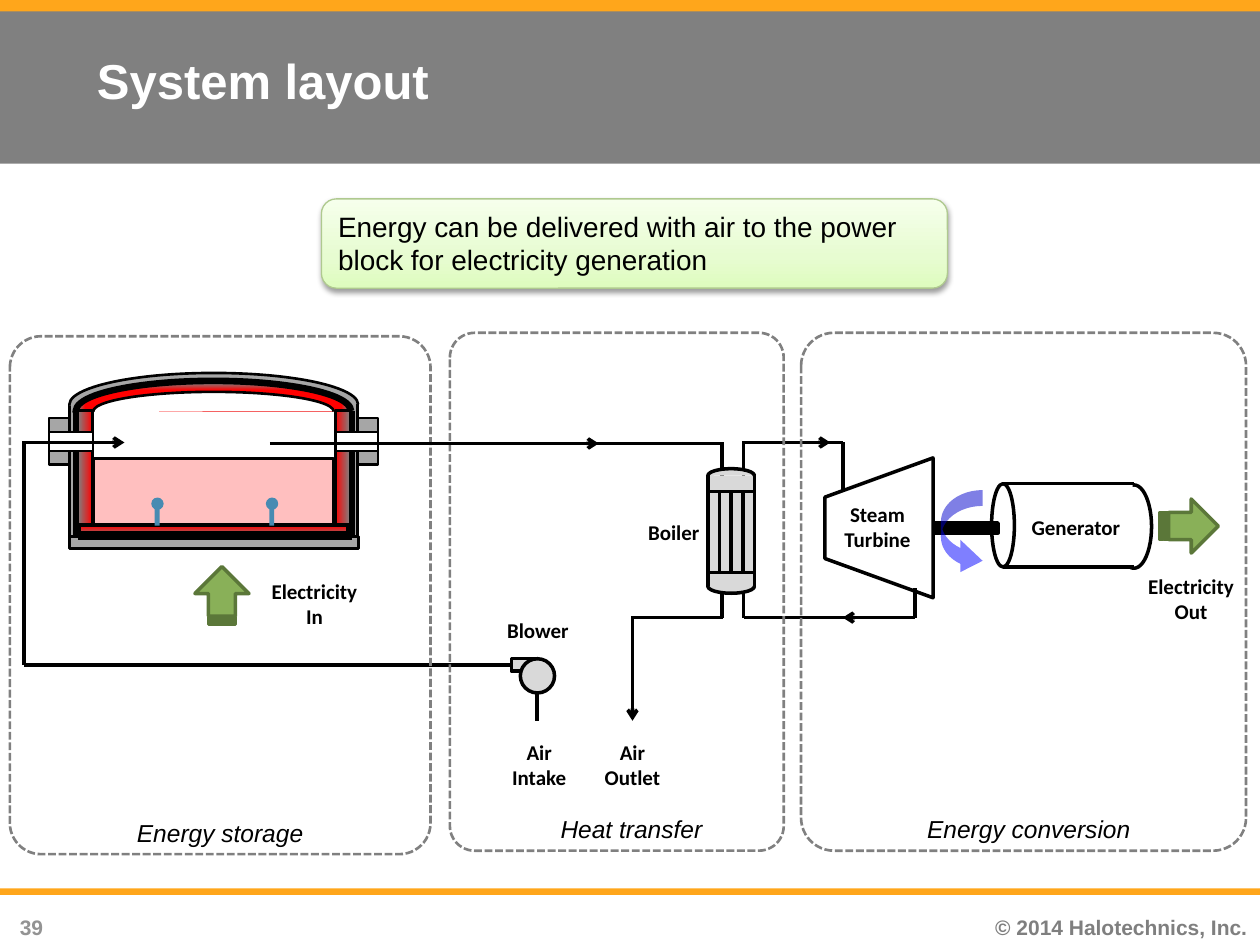
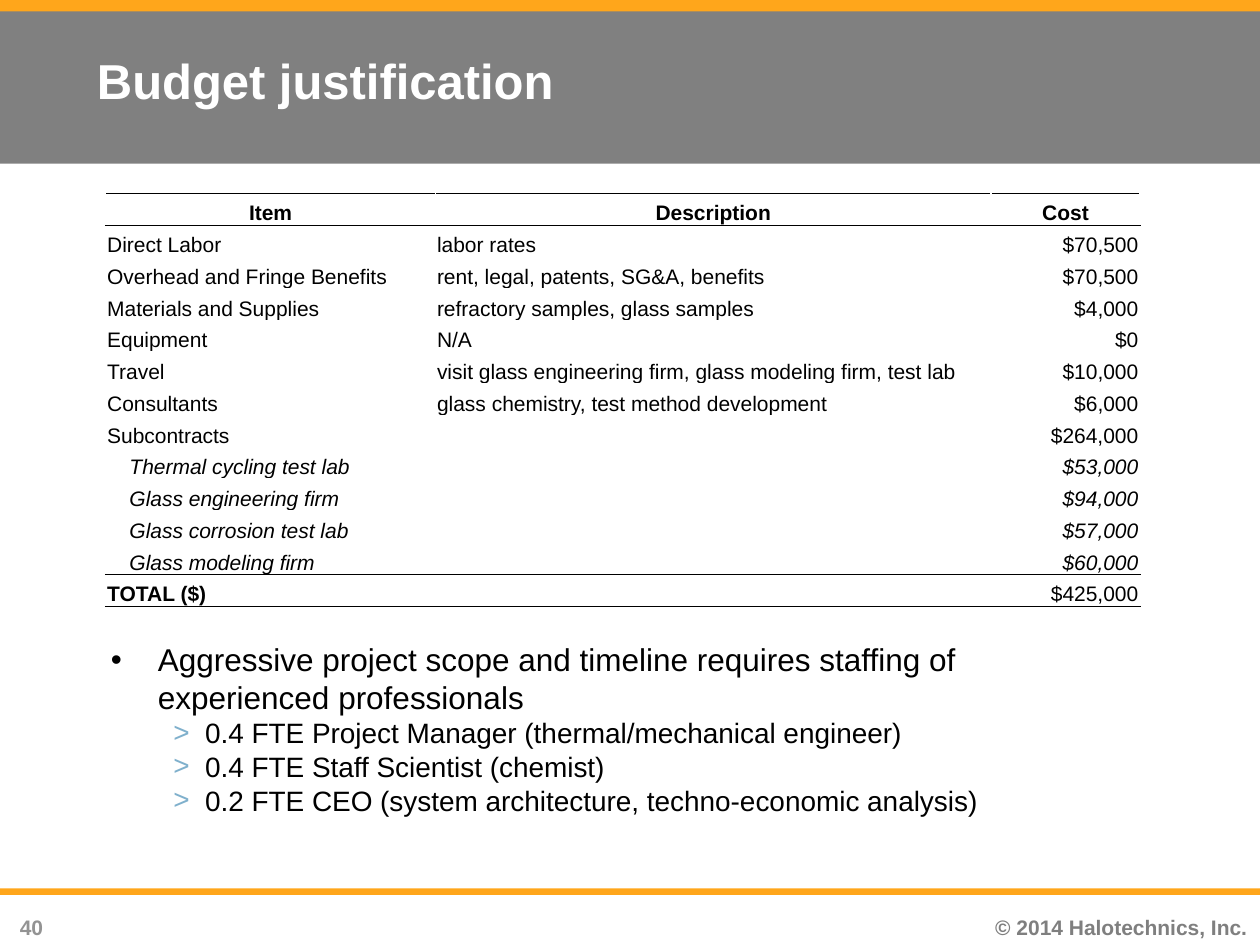
from lxml.etree import SubElement
from pptx import Presentation
from pptx.dml.color import RGBColor
from pptx.enum.dml import MSO_LINE
from pptx.enum.shapes import MSO_CONNECTOR, MSO_SHAPE
from pptx.enum.text import MSO_ANCHOR, PP_ALIGN
from pptx.oxml.ns import qn
from pptx.util import Cm, Pt

BLACK = RGBColor(0x00, 0x00, 0x00)
WHITE = RGBColor(0xFF, 0xFF, 0xFF)
GRAY = RGBColor(0x80, 0x80, 0x80)
STEEL = RGBColor(0xA6, 0xA6, 0xA6)
SILVER = RGBColor(0xD9, 0xD9, 0xD9)
NOTE = RGBColor(0x7F, 0x7F, 0x7F)
NUMBER = RGBColor(0x93, 0x93, 0x93)
ORANGE = RGBColor(0xFF, 0xA6, 0x1B)
RED = RGBColor(0xFF, 0x00, 0x00)
BLUE = RGBColor(0x00, 0x00, 0xFF)
TEAL = RGBColor(0x47, 0x8B, 0xB2)
SKY = RGBColor(0x7F, 0xB0, 0xCC)
GREEN = RGBColor(0x89, 0xB0, 0x58)
MOSS = RGBColor(0x5B, 0x77, 0x39)
SAGE = RGBColor(0xAF, 0xC9, 0x8F)
MINT = [(0, RGBColor(0xDE, 0xFC, 0xBE)), (35, RGBColor(0xE7, 0xFC, 0xD1)),
        (100, RGBColor(0xF6, 0xFF, 0xEC))]
HEAT = [(0, RED), (100, GRAY)]
DOME = [(74, RED), (100, GRAY)]

RECT, OVAL, ARC = MSO_SHAPE.RECTANGLE, MSO_SHAPE.OVAL, MSO_SHAPE.ARC
ROUND, STRIPE = MSO_SHAPE.ROUNDED_RECTANGLE, MSO_SHAPE.STRIPED_RIGHT_ARROW
LEFT, MID, RIGHT = PP_ALIGN.LEFT, PP_ALIGN.CENTER, PP_ALIGN.RIGHT
HALF = (107.8, 0)


def add(parent, tag, **attrs):
    return SubElement(parent, qn(tag), attrs)


class Deck:
    def __init__(self):
        self.prs = Presentation()
        self.prs.slide_width, self.prs.slide_height = Cm(25.4), Cm(19.05)
        self.slide = None

    def start(self, layout, title, number):
        """Add a slide with its bands, footer and title."""
        self.slide = self.prs.slides.add_slide(self.prs.slide_layouts[layout])
        self.shape(RECT, (0, 0, 25.4, 3.3), GRAY)
        self.shape(RECT, (0, 17.91, 25.4, 0.13), ORANGE)
        self.shape(RECT, (0, 0, 25.4, 0.23), ORANGE)
        self.label("© 2014 Halotechnics, Inc.", (19.08, 18.31, 6.32, 0.74),
                   align=RIGHT, color=NOTE, name="Arial")
        self.label(number, (0, 18.31, 1.12, 0.66), align=RIGHT,
                   color=NUMBER, name="Arial")
        head = self.slide.shapes.title
        self.slide.shapes._spTree.append(head._element)
        self.place(head, (1.7, -0.05, 22.86, 3.33))
        head.text_frame.text = title
        head.text_frame.vertical_anchor = MSO_ANCHOR.MIDDLE
        self.style(head.text_frame.paragraphs[0], 28, WHITE, bold=True)

    def place(self, item, box):
        item.left, item.top, item.width, item.height = map(Cm, box)

    def style(self, par, size, color=BLACK, bold=False, slant=False,
              name="Arial", align=LEFT):
        par.alignment = align
        font = par.font
        font.size, font.name, font.bold, font.italic = Pt(size), name, bold, slant
        font.color.rgb = color

    def shape(self, kind, box, fill=None, edge=None, width=2, turn=0,
              flip=None, adj=()):
        item = self.slide.shapes.add_shape(kind, *map(Cm, box))
        item.shadow.inherit = False
        item.rotation = turn
        for i, value in enumerate(adj):
            item.adjustments[i] = value
        if flip:
            item._element.spPr.find(qn("a:xfrm")).set(flip, "1")
        if fill is None:
            item.fill.background()
        else:
            item.fill.solid()
            item.fill.fore_color.rgb = fill
        if edge is None:
            item.line.fill.background()
        else:
            item.line.color.rgb = edge
            item.line.width = Pt(width)
        return item

    def fade(self, item, share):
        """Make a solid fill see-through; share is the opacity in percent."""
        color = item._element.spPr.find(qn("a:solidFill"))[0]
        add(color, "a:alpha", val=str(share * 1000))

    def blend(self, item, stops, angle=0, radial=False):
        item.fill.gradient()
        item.fill.gradient_angle = angle
        grad = item._element.spPr.find(qn("a:gradFill"))
        rows = grad.find(qn("a:gsLst"))
        rows.clear()
        for pos, color in stops:
            stop = add(rows, "a:gs", pos=str(pos * 1000))
            add(stop, "a:srgbClr", val=str(color))
        if radial:
            grad.remove(grad.find(qn("a:lin")))
            sides = dict.fromkeys("ltrb", "50000")
            add(add(grad, "a:path", path="shape"), "a:fillToRect", **sides)

    def line(self, x1, y1, x2, y2, width=2, arrow=False):
        item = self.slide.shapes.add_connector(
            MSO_CONNECTOR.STRAIGHT, Cm(x1), Cm(y1), Cm(x2), Cm(y2))
        item.line.color.rgb = BLACK
        item.line.width = Pt(width)
        if arrow:
            add(item.line._get_or_add_ln(), "a:tailEnd", type="arrow")
        add(item._element.spPr, "a:effectLst")

    def label(self, text, box, size=12, align=MID, color=BLACK, bold=True,
              slant=False, name="Calibri", wrap=True):
        frame = self.slide.shapes.add_textbox(*map(Cm, box)).text_frame
        frame.word_wrap = wrap
        frame.text = text
        self.style(frame.paragraphs[0], size, color, bold, slant, name, align)

    def callout(self, text, box):
        item = self.shape(ROUND, box, WHITE, SAGE, 0.75)
        self.blend(item, MINT, 90)
        glow = add(item._element.spPr.find(qn("a:effectLst")), "a:outerShdw",
                   blurRad="40000", dist="20000", dir="5400000", rotWithShape="0")
        add(add(glow, "a:srgbClr", val="000000"), "a:alpha", val="38000")
        item.text_frame.text = text
        item.text_frame.vertical_anchor = MSO_ANCHOR.TOP
        self.style(item.text_frame.paragraphs[0], 16)

    def zone(self, box, text, spot):
        """Draw a dashed frame with a caption at its foot."""
        item = self.shape(ROUND, box, None, GRAY, 1.5, adj=(0.074,))
        item.line.dash_style = MSO_LINE.SQUARE_DOT
        self.label(text, spot, 14, LEFT, bold=False, slant=True, name="Arial",
                   wrap=False)

    def bullets(self, rows, box):
        """Fill the body placeholder with (level, text) rows."""
        body = self.slide.placeholders[1]
        self.place(body, box)
        frame = body.text_frame
        looks = [("•", BLACK, 18, 0.95, 0.95), (">", SKY, 16, 1.9, 0.64)]
        for i, (level, text) in enumerate(rows):
            par = frame.add_paragraph() if i else frame.paragraphs[0]
            mark, color, size, left, hang = looks[level]
            par.text, par.level = text, level
            props = par._p.get_or_add_pPr()
            props.set("marL", str(Cm(left)))
            props.set("indent", str(-Cm(hang)))
            add(add(props, "a:buClr"), "a:srgbClr", val=str(color))
            add(props, "a:buFont", typeface="Arial")
            add(props, "a:buChar", char=mark)
            par.space_before = Pt(0)
            self.style(par, size)

    def table(self, rows, widths, spot, height):
        box = (*spot, sum(widths), height * len(rows))
        grid = self.slide.shapes.add_table(
            len(rows), len(widths), *map(Cm, box)).table
        grid.first_row = grid.horz_banding = False
        for col, width in zip(grid.columns, widths):
            col.width = Cm(width)
        last = len(rows) - 1
        for r, row in enumerate(rows):
            grid.rows[r].height = Cm(height)
            sub = 8 <= r < last
            for c, text in enumerate(row):
                cell = grid.cell(r, c)
                cell.fill.background()
                cell.vertical_anchor = MSO_ANCHOR.BOTTOM
                cell.margin_left = Cm(0.48 if sub and c == 0 else 0.03)
                cell.margin_right = cell.margin_top = Cm(0.03)
                cell.margin_bottom = 0
                cell.text = text
                par = cell.text_frame.paragraphs[0]
                align = MID if r == 0 else RIGHT if c == 2 else LEFT
                bold = r == 0 or (r == last and c == 0)
                self.style(par, 12, bold=bold, slant=sub, align=align)
                if not text:
                    add(par._p, "a:endParaRPr", sz="1200")
                if r in (0, last - 1, last):
                    self.rule(cell, "a:lnB")
                if r in (0, 1, last):
                    self.rule(cell, "a:lnT")

    def rule(self, cell, side):
        props = cell._tc.get_or_add_tcPr()
        edge = add(props, side, w=str(Pt(0.5)))
        add(add(edge, "a:solidFill"), "a:srgbClr", val=str(BLACK))
        props.insert(0, edge)


def blower(deck):
    deck.line(10.82, 14.53, 10.82, 13.61)
    deck.line(0.48, 13.41, 10.31, 13.41)
    deck.shape(RECT, (10.31, 13.28, 0.51, 0.25), SILVER, BLACK)
    deck.shape(OVAL, (10.49, 13.28, 0.69, 0.69), SILVER, BLACK)
    deck.line(14.55, 12.45, 14.55, 8.92)
    deck.line(12.73, 12.45, 14.58, 12.45)
    deck.line(12.75, 12.45, 12.75, 14.53, arrow=True)
    deck.line(9.65, 8.94, 12.07, 8.94, arrow=True)


def power(deck):
    """Draw the turbine, the generator and the steam loop."""
    deck.line(16.99, 9.93, 16.99, 8.92)
    deck.shape(MSO_SHAPE.TRAPEZOID, (16.31, 9.55, 2.82, 2.18), WHITE, BLACK,
               turn=270, adj=(0.363,))
    deck.shape(OVAL, (22.02, 10.26, 1.68, 0.71), WHITE, BLACK, turn=270)
    deck.shape(RECT, (20.8, 9.42, 1.68, 2.39), WHITE, turn=270)
    deck.shape(OVAL, (19.38, 10.36, 1.68, 0.46), WHITE, BLACK, turn=270)
    for y in (9.75, 11.43):
        deck.line(20.22, y, 22.86, y)
    deck.shape(RECT, (18.85, 10.54, 1.27, 0.2), BLACK, BLACK, turn=180)
    deck.shape(STRIPE, (23.39, 10.06, 1.17, 1.09), GREEN, MOSS)
    deck.line(14.96, 8.92, 16.99, 8.92)
    deck.line(18.44, 12.45, 18.44, 11.86)
    deck.line(14.99, 12.45, 18.44, 12.45)
    deck.line(14.99, 12.45, 14.99, 8.89)
    spin = deck.shape(MSO_SHAPE.CURVED_LEFT_ARROW, (18.97, 9.88, 0.84, 1.75),
                      BLUE, flip="flipH", adj=(0.38, 0.771, 0.531))
    deck.fade(spin, 50)


def boiler(deck):
    deck.shape(RECT, (14.27, 11.53, 0.94, 0.36), SILVER)
    deck.shape(RECT, (14.27, 9.6, 0.94, 0.3), SILVER)
    deck.shape(ARC, (14.27, 9.45, 0.94, 0.28), SILVER, BLACK, adj=HALF)
    for i in range(4):
        deck.shape(RECT, (14.27 + i * 0.94 / 4, 9.91, 0.94 / 4, 1.63),
                   SILVER, BLACK)
    for x in (15.21, 14.27):
        deck.line(x, 11.84, x, 9.58)
    deck.shape(ARC, (14.27, 11.68, 0.94, 0.28), SILVER, BLACK, flip="flipV",
               adj=HALF)
    deck.line(18.14, 12.45, 16.99, 12.45, arrow=True)
    deck.line(16.05, 8.92, 16.74, 8.92, arrow=True)


def tank(deck):
    """Draw the heated glass tank with its walls, dome, melt and ports."""
    def part(kind, box, fill, edge=BLACK, width=1.5, **more):
        return deck.shape(kind, box, fill, edge, width, **more)

    part(RECT, (1.4, 8.15, 0.23, 2.67), STEEL, STEEL)
    deck.line(1.4, 10.82, 1.4, 8.15, 1.5)
    deck.line(1.55, 10.82, 1.55, 8.28, 5)
    part(RECT, (6.96, 8.15, 0.25, 2.67), STEEL, STEEL)
    deck.blend(part(RECT, (4.22, 7.98, 0.23, 5.46), RED, turn=90), HEAT)
    part(RECT, (4.19, 8.03, 0.25, 5.82), STEEL, turn=90)
    part(ARC, (1.4, 7.52, 5.82, 1.27), STEEL, adj=HALF)
    part(ARC, (1.55, 7.7, 5.51, 1.19), WHITE, width=5, adj=HALF)
    deck.line(7.06, 10.82, 7.06, 8.28, 5)
    dome = part(ARC, (1.57, 7.72, 5.46, 1.14), RED, adj=HALF)
    deck.blend(dome, DOME, radial=True)
    part(ARC, (1.88, 7.9, 4.85, 0.79), WHITE, adj=HALF)
    for x, flip in ((1.57, "flipH"), (6.76, None)):
        deck.blend(part(RECT, (x, 8.28, 0.3, 2.29), RED, flip=flip), HEAT)
    deck.fade(part(RECT, (1.88, 9.25, 4.85, 1.32), RED), 25)
    deck.line(7.21, 10.82, 7.21, 8.15, 1.5)
    for x in (3.05, 5.36):
        deck.shape(RECT, (x + 0.07, 10.24, 0.1, 0.36), TEAL)
        deck.shape(OVAL, (x, 10.03, 0.25, 0.25), TEAL)
    deck.line(7.09, 10.8, 1.57, 10.8, 5)
    for outer, inner, width in ((7.21, 6.76, 0.86), (0.99, 0.99, 0.89)):
        part(RECT, (outer, 8.43, 0.41, 0.94), STEEL)
        part(RECT, (inner, 8.71, width, 0.38), WHITE)
    deck.line(5.44, 8.94, 14.55, 8.94)
    deck.line(0.48, 13.41, 0.48, 8.89)
    deck.line(0.51, 8.92, 2.51, 8.92, arrow=True)


def layout(deck):
    deck.start(5, "System layout", "39")
    blower(deck)
    power(deck)
    boiler(deck)
    deck.zone((0.2, 6.78, 8.48, 10.44), "Energy storage", (2.51, 16.36, 3.89, 0.86))
    deck.zone((9.07, 6.71, 6.73, 10.44), "Heat transfer", (11.05, 16.28, 3.38, 0.86))
    deck.zone((16.15, 6.71, 8.97, 10.44), "Energy conversion",
              (18.44, 16.28, 4.62, 0.86))
    deck.callout("Energy can be delivered with air to the power block for "
                 "electricity generation", (6.48, 4.01, 12.62, 1.8))
    deck.shape(STRIPE, (3.89, 11.46, 1.17, 1.09), GREEN, MOSS, turn=270)
    tank(deck)
    for text, box in (("Generator", (20.14, 10.24, 3.1, 0.76)),
                      ("Steam Turbine", (16.51, 9.98, 2.36, 1.27)),
                      ("Blower", (9.88, 12.32, 1.93, 0.76)),
                      ("Air Intake", (9.83, 14.78, 2.08, 1.27)),
                      ("Air Outlet", (11.71, 14.78, 2.08, 1.27)),
                      ("Electricity In", (5.11, 11.53, 2.46, 1.27)),
                      ("Electricity Out", (22.78, 11.43, 2.46, 1.27))):
        deck.label(text, box)
    deck.label("Boiler", (12.42, 10.34, 1.93, 0.76), align=RIGHT)


def budget(deck):
    deck.start(1, "Budget justification", "40")
    deck.bullets([
        (0, "Aggressive project scope and timeline requires staffing of "
            "experienced professionals"),
        (1, "0.4 FTE Project Manager (thermal/mechanical engineer)"),
        (1, "0.4 FTE Staff Scientist (chemist)"),
        (1, "0.2 FTE CEO (system architecture, techno-economic analysis)"),
    ], (1.98, 12.78, 21.16, 4.7))
    deck.table([
        ("Item", "Description", "Cost"),
        ("Direct Labor", "labor rates", "$70,500"),
        ("Overhead and Fringe Benefits", "rent, legal, patents, SG&A, benefits",
         "$70,500"),
        ("Materials and Supplies", "refractory samples, glass samples", "$4,000"),
        ("Equipment", "N/A", "$0"),
        ("Travel", "visit glass engineering firm, glass modeling firm, test lab",
         "$10,000"),
        ("Consultants", "glass chemistry, test method development", "$6,000"),
        ("Subcontracts", "", "$264,000"),
        ("Thermal cycling test lab", "", "$53,000"),
        ("Glass engineering firm", "", "$94,000"),
        ("Glass corrosion test lab", "", "$57,000"),
        ("Glass modeling firm", "", "$60,000"),
        ("TOTAL ($)", "", "$425,000"),
    ], (6.65, 11.2, 3), (2.13, 3.9), 0.64)


def main():
    deck = Deck()
    layout(deck)
    budget(deck)
    deck.prs.save("out.pptx")


if __name__ == "__main__":
    main()
